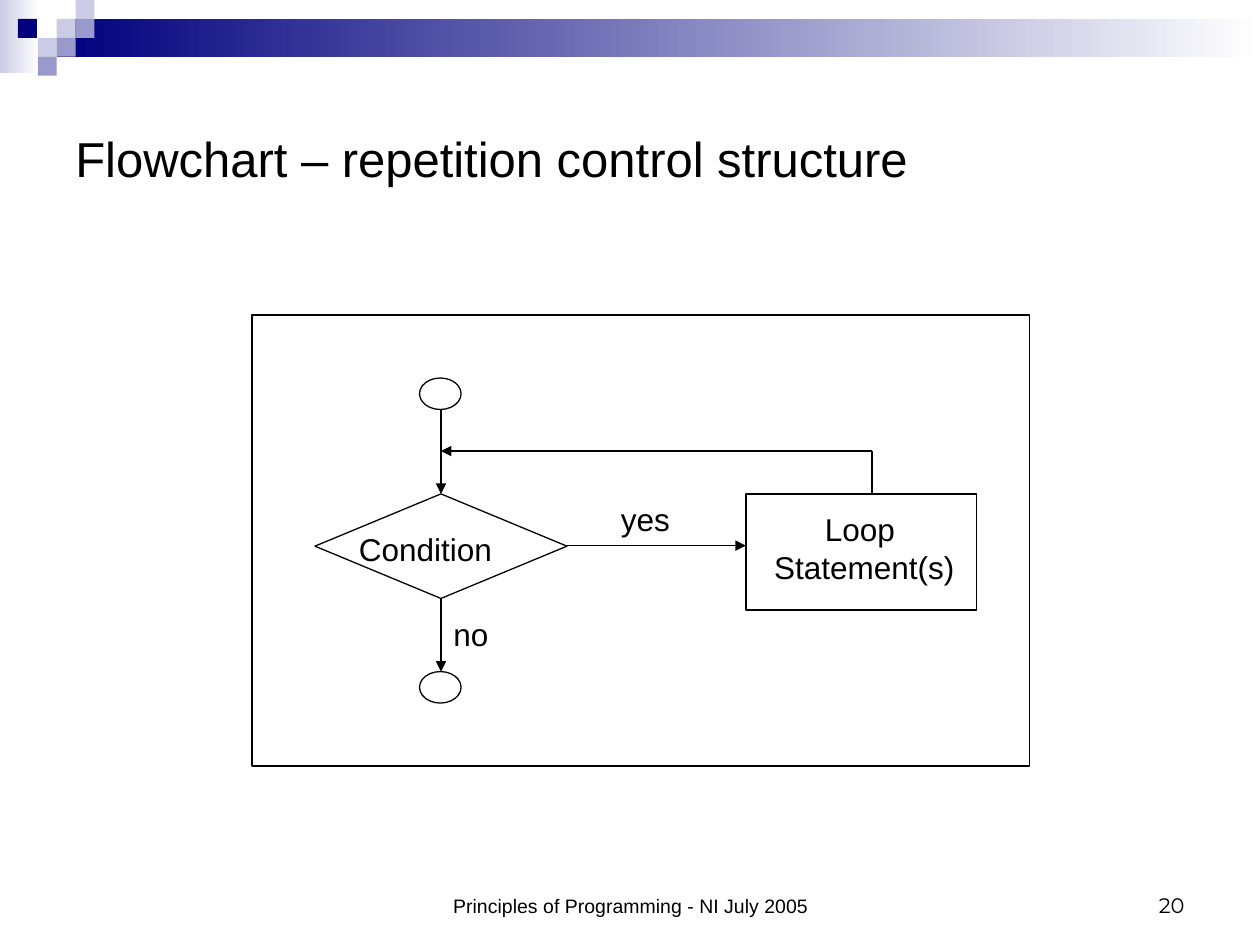
from pptx import Presentation
from pptx import util as u
from pptx.dml.color import RGBColor
from pptx.enum import shapes, text
from pptx.oxml.ns import qn
from lxml import etree

BLACK, NAVY, MID, PALE, WHITE = "000000", "00007D", "9999CC", "CCCCE6", "FFFFFF"
KIND = shapes.MSO_SHAPE
ALIGN = text.PP_ALIGN
ANCHOR = text.MSO_ANCHOR


def color(code):
    return RGBColor.from_string(code)


class Chart:
    """Style of the flowchart and the slide it is drawn on."""
    font = "Arial"
    size = 18
    width = 0.75

    def __init__(self, slide):
        self.items = slide.shapes

    def shape(self, kind, *box):
        item = self.items.add_shape(kind, *map(u.Inches, box))
        item.shadow.inherit = False
        return item

    def block(self, fill, *box):
        item = self.shape(KIND.RECTANGLE, *box)
        item.fill.solid()
        item.fill.fore_color.rgb = color(fill)
        item.line.fill.background()

    def fade(self, start, *box):
        """Add a bar that fades from start to white, left to right."""
        item = self.shape(KIND.RECTANGLE, *box)
        item.fill.gradient()
        item.fill.gradient_angle = 0
        for stop, code, place in zip(item.fill.gradient_stops, (start, WHITE), (0, 1)):
            stop.color.rgb = color(code)
            stop.position = place
        item.line.fill.background()

    def node(self, kind, *box):
        item = self.shape(kind, *box)
        item.fill.background()
        item.line.color.rgb = color(BLACK)
        item.line.width = u.Pt(self.width)

    def line(self, x1, y1, x2, y2, arrow=True):
        item = self.items.add_connector(
            shapes.MSO_CONNECTOR.STRAIGHT, *map(u.Inches, (x1, y1, x2, y2)))
        item.line.color.rgb = color(BLACK)
        item.line.width = u.Pt(self.width)
        if arrow:
            etree.SubElement(item.line._get_or_add_ln(), qn("a:tailEnd"), type="triangle")
        etree.SubElement(item._element.spPr, qn("a:effectLst"))

    def label(self, words, *box, size=size, font=font, align=ALIGN.LEFT,
              anchor=ANCHOR.TOP):
        frame = self.items.add_textbox(*map(u.Inches, box)).text_frame
        frame.word_wrap = True
        frame.vertical_anchor = anchor
        frame.text = words
        for para in frame.paragraphs:
            para.alignment = align
            for run in para.runs:
                run.font.name = font
                run.font.size = u.Pt(size)
                run.font.color.rgb = color(BLACK)


def main():
    deck = Presentation()
    deck.slide_width, deck.slide_height = u.Inches(10), u.Inches(7.5)
    chart = Chart(deck.slides.add_slide(deck.slide_layouts[6]))

    # Banner: two fading bars and a mosaic of small squares
    cell = 0.15
    chart.fade(PALE, 0, 0, 0.31, 0.58)
    chart.fade(NAVY, 3 * cell, cell, 9.55, 2 * cell)
    mosaic = ((3, 1, PALE), (4, 0, PALE), (4, 1, MID), (2, 2, PALE),
              (0.95, 1, NAVY), (3, 2, MID), (2, 3, MID))
    for col, row, fill in mosaic:
        chart.block(fill, col * cell, row * cell, cell, cell)

    # Title and footer
    chart.label("Flowchart – repetition control structure", 0.5, 0.5, 9, 1.5,
                size=28, anchor=ANCHOR.MIDDLE)
    chart.label("Principles of Programming - NI July 2005", 3.42, 6.83, 3.17, 0.5,
                size=11.1, align=ALIGN.CENTER, anchor=ANCHOR.BOTTOM)
    chart.label("20", 7.17, 6.83, 2.33, 0.5, size=12, font="Montserrat",
                align=ALIGN.RIGHT, anchor=ANCHOR.BOTTOM)

    # Nodes
    axis, loop = 3.5, 6.92
    top, mid, back = 3.92, 4.33, 3.58
    chart.node(KIND.RECTANGLE, 2, 2.5, 6.17, 3.58)
    chart.node(KIND.FLOWCHART_DECISION, axis - 1, top, 2, 0.83)
    chart.node(KIND.FLOWCHART_PROCESS, 5.92, top, 1.83, 0.92)
    for y in (3, 5.33):
        chart.node(KIND.OVAL, axis - 0.17, y, 0.33, 0.25)

    # Flow
    chart.line(axis, 3.25, axis, top)
    chart.line(axis + 1, mid, 5.92, mid)
    chart.line(loop, top, loop, back, arrow=False)
    chart.line(loop, back, axis, back)
    chart.line(axis, 4.75, axis, 5.33)

    # Labels
    chart.label("Condition", 2.75, 4.16, 1.4, 0.4)
    chart.label("Loop \nStatement(s)", 5.92, 4, 1.88, 0.7, align=ALIGN.CENTER)
    chart.label("yes", 4.83, top, 0.75, 0.4)
    chart.label("no", axis, 4.83, 0.75, 0.4)

    deck.save("out.pptx")


if __name__ == "__main__":
    main()
